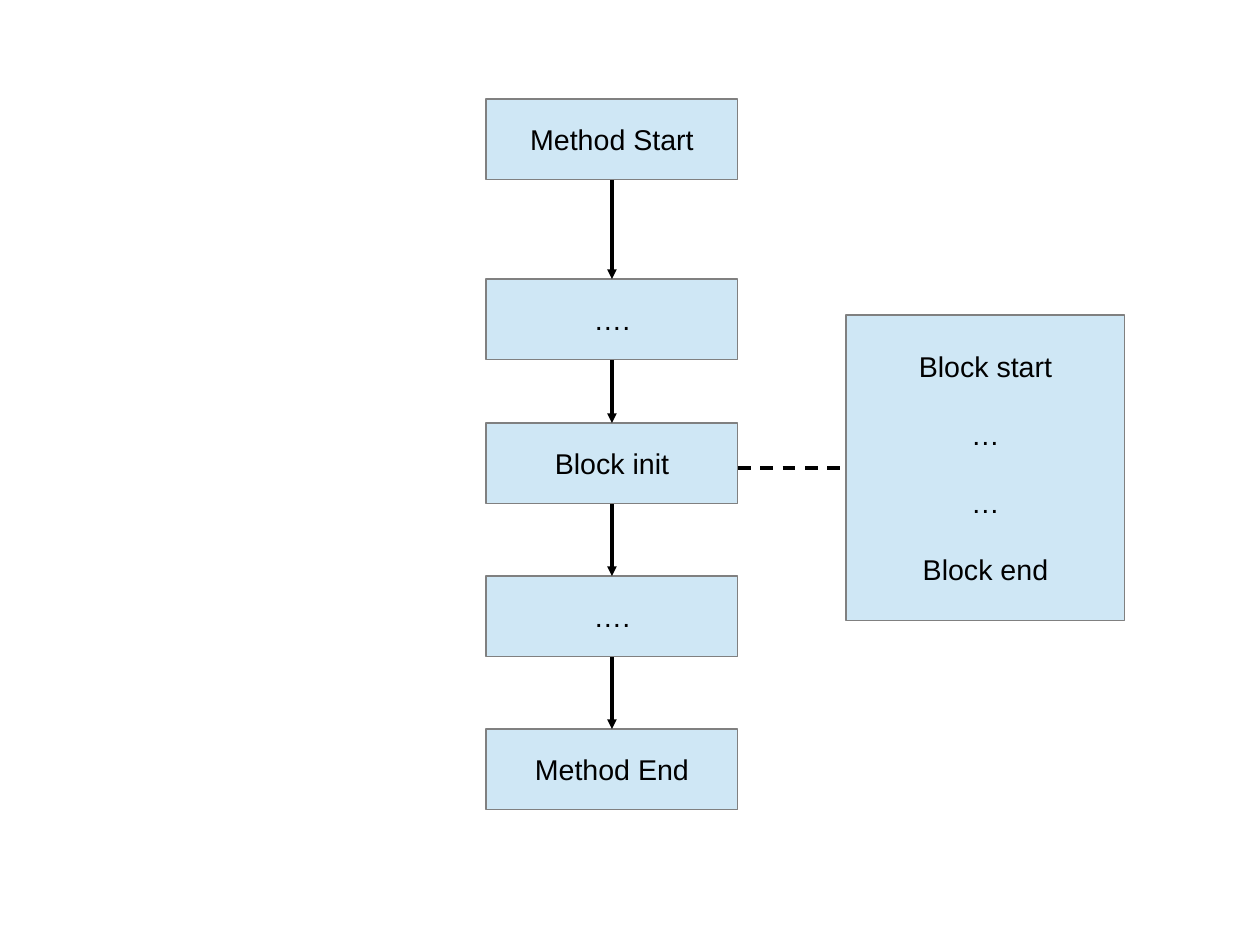
from itertools import pairwise

from pptx import Presentation
from pptx import util as u
from pptx.dml.color import RGBColor
from pptx.enum import dml, shapes, text
from pptx.oxml.ns import qn
from lxml import etree

BOTTOM, TOP, LEFT = 2, 0, 1
FONT_FORMAT = {"name": "Arial", "size": u.Pt(18)}
FRAME_FORMAT = {"word_wrap": True, "vertical_anchor": text.MSO_ANCHOR.MIDDLE}


def set_color(color_format, value):
    color_format.rgb = RGBColor.from_string(value)


def set_attributes(target, values):
    for name, value in values.items():
        setattr(target, name, value)


def add_box(slide, left, top, width, height, lines):
    """Add a blue box with one centred paragraph per line."""
    shape = slide.shapes.add_shape(
        shapes.MSO_SHAPE.RECTANGLE, u.Cm(left), u.Cm(top), u.Cm(width), u.Cm(height))
    shape.shadow.inherit = False
    shape.fill.solid()
    set_color(shape.fill.fore_color, "CFE7F5")
    set_color(shape.line.color, "808080")
    shape.line.width = u.Pt(0)

    frame = shape.text_frame
    set_attributes(frame, FRAME_FORMAT)
    frame.text = "\n".join(lines)
    for index, paragraph in enumerate(frame.paragraphs):
        paragraph.alignment = text.PP_ALIGN.CENTER
        if index:
            paragraph.space_before = u.Pt(21)
        set_attributes(paragraph.font, FONT_FORMAT)
        set_color(paragraph.font.color, "000000")
    return shape


def add_line(slide, start_x=0, start_y=0):
    """Add a thin black connector without a shadow."""
    connector = slide.shapes.add_connector(
        shapes.MSO_CONNECTOR.STRAIGHT, start_x, start_y, start_x, start_y)
    set_color(connector.line.color, "000000")
    connector.line.width = u.Pt(0)
    etree.SubElement(connector._element.spPr, qn("a:effectLst"))
    return connector


def add_arrow(slide, upper_box, lower_box):
    arrow = add_line(slide)
    arrow.begin_connect(upper_box, BOTTOM)
    arrow.end_connect(lower_box, TOP)
    etree.SubElement(arrow.line._get_or_add_ln(), qn("a:tailEnd"), type="triangle")


def add_method_flow(slide, left, top, width):
    """Stack the method steps, join them and return the block init step."""
    steps = [("Method Start", 0), ("….", 4), ("Block init", 7.2),
             ("….", 10.6), ("Method End", 14)]
    boxes = [add_box(slide, left, top + offset, width, 1.8, [label])
             for label, offset in steps]
    for upper_box, lower_box in pairwise(boxes):
        add_arrow(slide, upper_box, lower_box)
    return boxes[2]


def add_block_detail(slide, left, top, width, height, init_box):
    """Add the block contents and a dashed line from the init step."""
    block = add_box(slide, left, top, width, height,
                    ["Block start", "…", "…", "Block end"])
    # The dashed line stays level with the middle of the block
    link = add_line(slide, init_box.left + init_box.width,
                    block.top + block.height // 2)
    link.end_connect(block, LEFT)
    link.line.dash_style = dml.MSO_LINE.DASH


def main():
    presentation = Presentation()
    set_attributes(presentation, {"slide_width": u.Cm(28), "slide_height": u.Cm(21)})
    slide = presentation.slides.add_slide(presentation.slide_layouts[6])
    init_box = add_method_flow(slide, 10.8, 2.2, 5.6)
    add_block_detail(slide, 18.8, 7, 6.2, 6.8, init_box)
    presentation.save("out.pptx")


if __name__ == "__main__":
    main()
